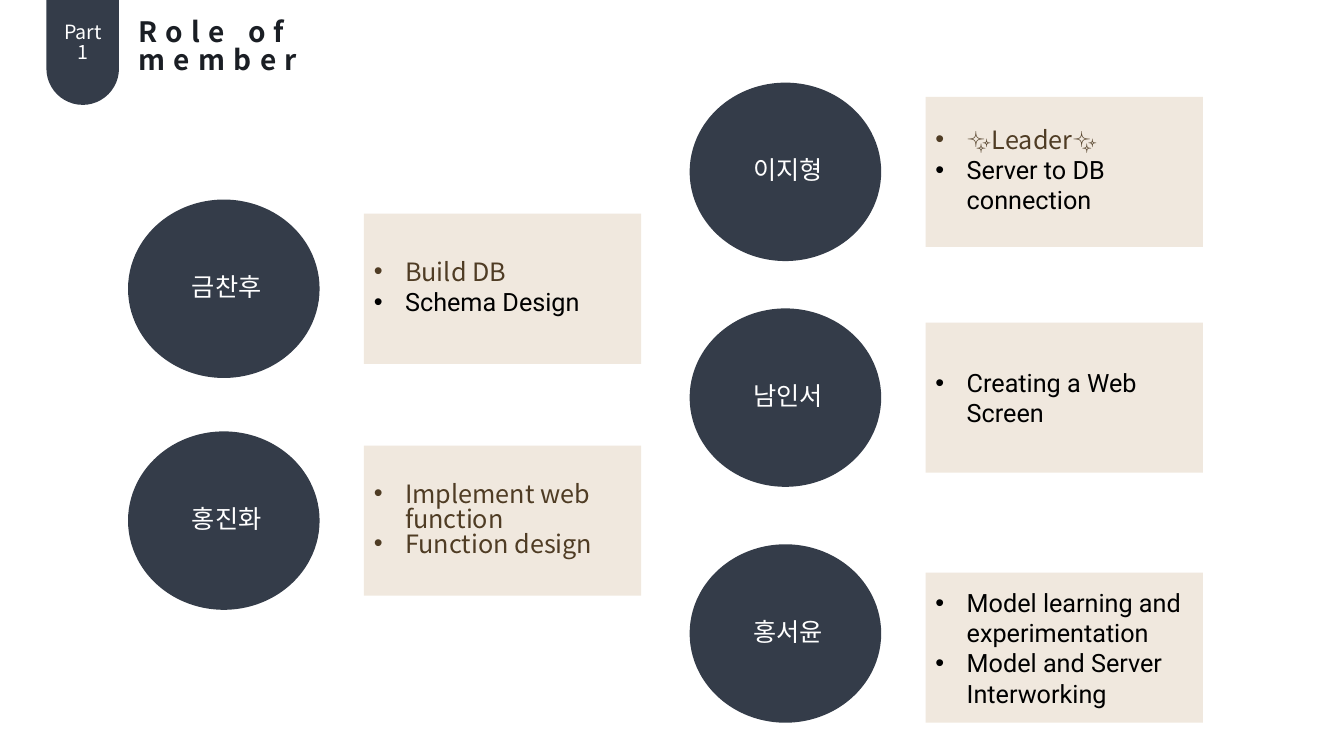
"""Builds the slide that lists the role of each team member."""
from lxml import etree
from pptx import Presentation
from pptx.dml.color import RGBColor
from pptx.enum.shapes import MSO_SHAPE
from pptx.enum.text import MSO_ANCHOR, MSO_AUTO_SIZE, PP_ALIGN
from pptx.oxml.ns import qn
from pptx.util import Emu, Pt

OVAL, RECT = MSO_SHAPE.OVAL, MSO_SHAPE.RECTANGLE
TAB = MSO_SHAPE.ROUND_2_SAME_RECTANGLE
TOP, MIDDLE = MSO_ANCHOR.TOP, MSO_ANCHOR.MIDDLE
LEFT, CENTER = PP_ALIGN.LEFT, PP_ALIGN.CENTER
FIXED = MSO_AUTO_SIZE.NONE

SCALE = 9144
NOTO, ROBOTO = "Noto Sans CJK KR", "Roboto"
LEADING = {NOTO: 0.83, ROBOTO: 1.0}
COLORS = {
    "navy": "343C49", "sand": "F0E8DE", "title": "1A1E24",
    "white": "FFFFFF", "brown": "4F3C24", "black": "000000",
}
BROWN, BLACK = (NOTO, "brown"), (ROBOTO, "black")
MEMBERS = [
    ("금찬후", 127, 198, 212, [("Build DB", BROWN), ("Schema Design", BLACK)]),
    ("홍진화", 127, 428, 442, [("Implement web function", BROWN),
                            ("Function design", BROWN)]),
    ("이지형", 684, 82, 96, [("✨Leader✨", BROWN),
                          ("Server to DB connection", BLACK)]),
    ("남인서", 684, 306, 320, [("Creating a Web Screen", BLACK)]),
    ("홍서윤", 684, 540, 568, [("Model learning and experimentation", BLACK),
                            ("Model and Server Interworking", BLACK)]),
]


def px(*sizes):
    """Turn px lengths into EMU."""
    return [Emu(size * SCALE) for size in sizes]


def rgb(name):
    """Look up a named colour."""
    return RGBColor.from_string(COLORS[name])


def style(para, face, color, size, align=LEFT, bold=False):
    """Set the font, alignment and line spacing of a paragraph."""
    para.alignment = align
    para.line_spacing = LEADING[face]
    font = para.font
    font.name, font.size, font.bold = face, Pt(size), bold
    font.color.rgb = rgb(color)
    asian = etree.SubElement(font._element, qn("a:ea"))
    asian.set("typeface", face)


def frame(shape, anchor):
    """Prepare the text frame of a shape."""
    text = shape.text_frame
    text.word_wrap = True
    text.auto_size = FIXED
    text.vertical_anchor = anchor
    return text


def block(slide, kind, box, color):
    """Add a plain filled shape."""
    shape = slide.shapes.add_shape(kind, *px(*box))
    shape.shadow.inherit = False
    shape.fill.solid()
    shape.fill.fore_color.rgb = rgb(color)
    shape.line.fill.background()
    return shape


def bullet(para):
    """Give a paragraph a hanging round bullet."""
    props = para._p.get_or_add_pPr()
    indent = 31 * SCALE
    props.set("marL", str(indent))
    props.set("indent", str(-indent))
    etree.SubElement(props, qn("a:buFont")).set("typeface", "Arial")
    etree.SubElement(props, qn("a:buChar")).set("char", "•")


def head(slide):
    """Add the part tab and the slide title."""
    tab = block(slide, TAB, (46, 0, 72, 104), "navy")
    tab.adjustments[0], tab.adjustments[1] = 0.5, 0
    tab.rotation = 180
    label = slide.shapes.add_textbox(*px(49, 19, 67, 34))
    para = frame(label, TOP).paragraphs[0]
    para.text = "Part 1"
    style(para, NOTO, "white", 14, CENTER)

    title = slide.shapes.title
    title.left, title.top, title.width, title.height = px(127, 15, 325, 44)
    para = frame(title, TOP).paragraphs[0]
    para.text = "Role of member"
    style(para, NOTO, "title", 20, bold=True)
    para.font._element.set("spc", "600")


def member(slide, name, left, top, shelf, roles):
    """Add a member's name circle and role card."""
    oval = block(slide, OVAL, (left, top, 190, 177), "navy")
    para = frame(oval, MIDDLE).paragraphs[0]
    para.text = " " + name
    style(para, NOTO, "white", 18, CENTER)

    card = block(slide, RECT, (left + 234, shelf, 275, 149), "sand")
    text = frame(card, MIDDLE)
    for index, (role, (face, color)) in enumerate(roles):
        para = text.add_paragraph() if index else text.paragraphs[0]
        para.text = role
        bullet(para)
        style(para, face, color, 18)


def main():
    """Build and save the slide."""
    deck = Presentation()
    deck.slide_width, deck.slide_height = px(1333, 750)
    slide = deck.slides.add_slide(deck.slide_layouts[5])
    head(slide)
    for entry in MEMBERS:
        member(slide, *entry)
    deck.save("out.pptx")


if __name__ == "__main__":
    main()
